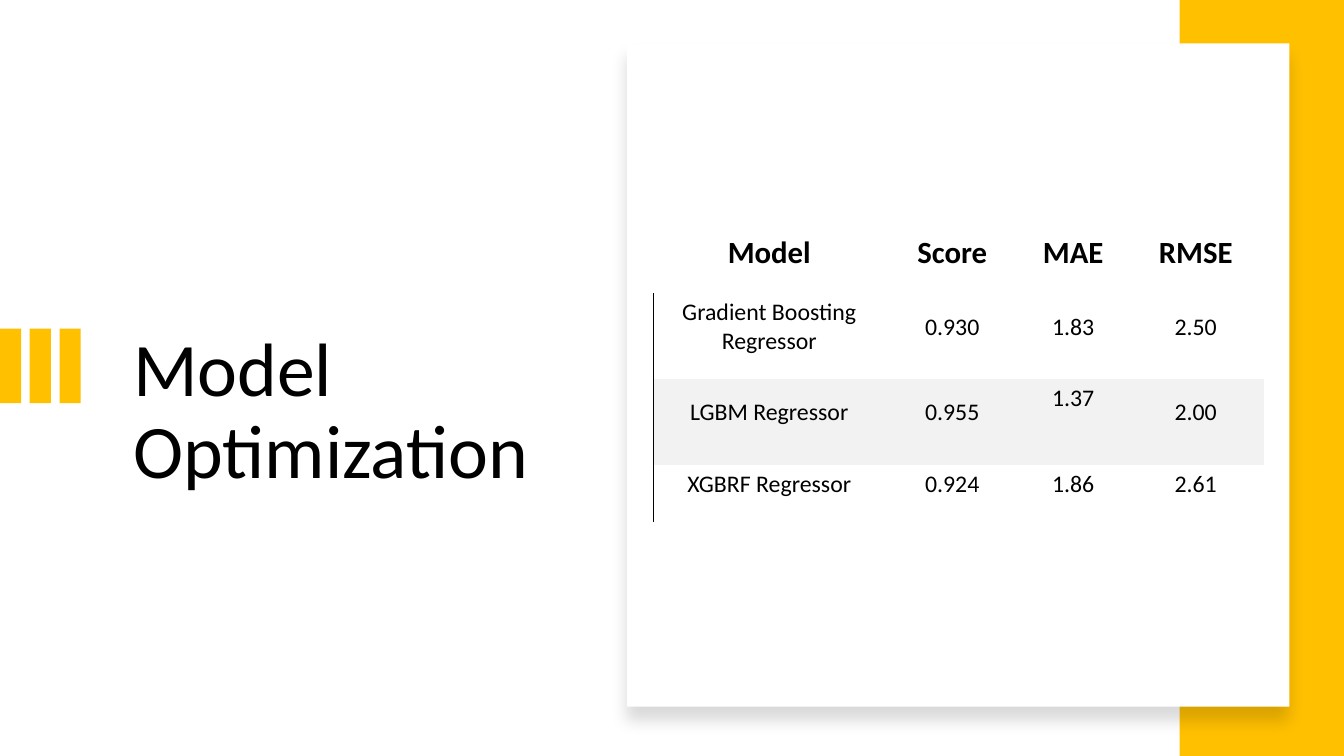
import pptx
import pptx.dml.color
import pptx.enum.shapes
import pptx.enum.text
import pptx.oxml
import pptx.oxml.ns
import pptx.util
from dataclasses import dataclass

Inches = pptx.util.Inches
Pt = pptx.util.Pt
ALIGN = pptx.enum.text.PP_ALIGN
ANCHOR = pptx.enum.text.MSO_ANCHOR
RECTANGLE = pptx.enum.shapes.MSO_SHAPE.RECTANGLE
NAMESPACE = pptx.oxml.ns.nsdecls("a")
NO_STYLE_NO_GRID = "{2D5ABB26-0587-4C30-8999-92F81FD0307C}"


@dataclass(frozen=True)
class Theme:
    font: str = "Calibri"
    ink: str = "000000"
    accent: str = "FFC000"
    paper: str = "FFFFFF"
    band: str = "F2F2F2"
    title_size: int = 54
    header_size: int = 22
    body_size: int = 17


class SlideBuilder:
    def __init__(self, page, theme):
        self.page = page
        self.theme = theme

    def color(self, value):
        return pptx.dml.color.RGBColor.from_string(value)

    def add_text(self, frame, text, size, align, bold=False):
        para = frame.paragraphs[0]
        para.alignment = align
        span = para.add_run()
        span.text = text
        span.font.name = self.theme.font
        span.font.size = Pt(size)
        span.font.bold = bold
        span.font.color.rgb = self.color(self.theme.ink)
        return para

    def title(self, text, left, top, width, height):
        box = self.page.shapes.title
        box.left, box.top = Inches(left), Inches(top)
        box.width, box.height = Inches(width), Inches(height)
        frame = box.text_frame
        frame.word_wrap = True
        frame.auto_size = pptx.enum.text.MSO_AUTO_SIZE.NONE
        frame.vertical_anchor = ANCHOR.TOP
        para = self.add_text(frame, text, self.theme.title_size, ALIGN.LEFT)
        para.line_spacing = 0.9

    def rectangle(self, left, top, width, height, fill, parent=None):
        shapes = (parent or self.page).shapes
        box = shapes.add_shape(RECTANGLE, Inches(left), Inches(top), Inches(width), Inches(height))
        box.shadow.inherit = False
        box.fill.solid()
        box.fill.fore_color.rgb = self.color(fill)
        box.line.fill.background()
        return box

    def card(self, left, top, width, height):
        box = self.rectangle(left, top, width, height, self.theme.paper)
        effects = box._element.spPr.find(pptx.oxml.ns.qn("a:effectLst"))
        effects.append(pptx.oxml.parse_xml(
            f'<a:outerShdw {NAMESPACE} blurRad="{Pt(11)}" dist="{Pt(10)}" dir="5400000" '
            f'algn="t" rotWithShape="0"><a:srgbClr val="{self.theme.ink}">'
            '<a:alpha val="15000"/></a:srgbClr></a:outerShdw>'))

    def left_border(self, cell):
        cell._tc.get_or_add_tcPr().insert(0, pptx.oxml.parse_xml(
            f'<a:lnL {NAMESPACE} w="{Pt(0.75)}"><a:solidFill>'
            f'<a:srgbClr val="{self.theme.ink}"/></a:solidFill></a:lnL>'))

    def table(self, rows, left, top, widths, heights, band_row):
        frame = self.page.shapes.add_table(
            len(rows), len(widths), Inches(left), Inches(top),
            Inches(sum(widths)), Inches(sum(heights)))
        table = frame.table
        table.first_row = table.horz_banding = False
        table._tbl.tblPr.find(pptx.oxml.ns.qn("a:tableStyleId")).text = NO_STYLE_NO_GRID
        for column, width in zip(table.columns, widths):
            column.width = Inches(width)
        for row, height in zip(table.rows, heights):
            row.height = Inches(height)
        for r, values in enumerate(rows):
            header = r == 0
            size = self.theme.header_size if header else self.theme.body_size
            for c, value in enumerate(values):
                cell = table.cell(r, c)
                cell.margin_left, cell.margin_top = Inches(0.1), Inches(0.03)
                cell.margin_right, cell.margin_bottom = Inches(0.14), Inches(0.21)
                cell.vertical_anchor = ANCHOR.BOTTOM if header else ANCHOR.MIDDLE
                if r == band_row:
                    cell.fill.solid()
                    cell.fill.fore_color.rgb = self.color(self.theme.band)
                else:
                    cell.fill.background()
                if c == 0 and not header:
                    self.left_border(cell)
                self.add_text(cell.text_frame, value, size, ALIGN.CENTER, header)
        return table


def main():
    deck = pptx.Presentation()
    deck.slide_width, deck.slide_height = Inches(13.33), Inches(7.5)
    theme = Theme()
    page = deck.slides.add_slide(deck.slide_layouts.get_by_name("Title Only"))
    builder = SlideBuilder(page, theme)

    # Title with its three accent bars
    builder.title("Model Optimization", 1.22, 3.24, 4.41, 2.61)
    bars = page.shapes.add_group_shape()
    for index in range(3):
        builder.rectangle(index * 0.295, 3.26, 0.21, 0.74, theme.accent, bars)

    # Side band and the card over it
    builder.rectangle(11.7, 0, 1.63, 7.5, theme.accent)
    builder.card(6.22, 0.43, 6.57, 6.58)

    # Model scores
    scores = [
        ("Model", "Score", "MAE", "RMSE"),
        ("Gradient Boosting Regressor", "0.930", "1.83", "2.50"),
        ("LGBM Regressor", "0.955", "1.37", "2.00"),
        ("XGBRF Regressor", "0.924", "1.86", "2.61"),
    ]
    table = builder.table(scores, 6.48, 2.25, (2.34, 1.29, 1.11, 1.32),
                          (0.66, 0.85, 0.85, 0.57), band_row=2)
    # The best MAE sits half a line higher than its row
    table.cell(2, 2).margin_bottom = Inches(0.5)

    deck.save("out.pptx")


if __name__ == "__main__":
    main()
